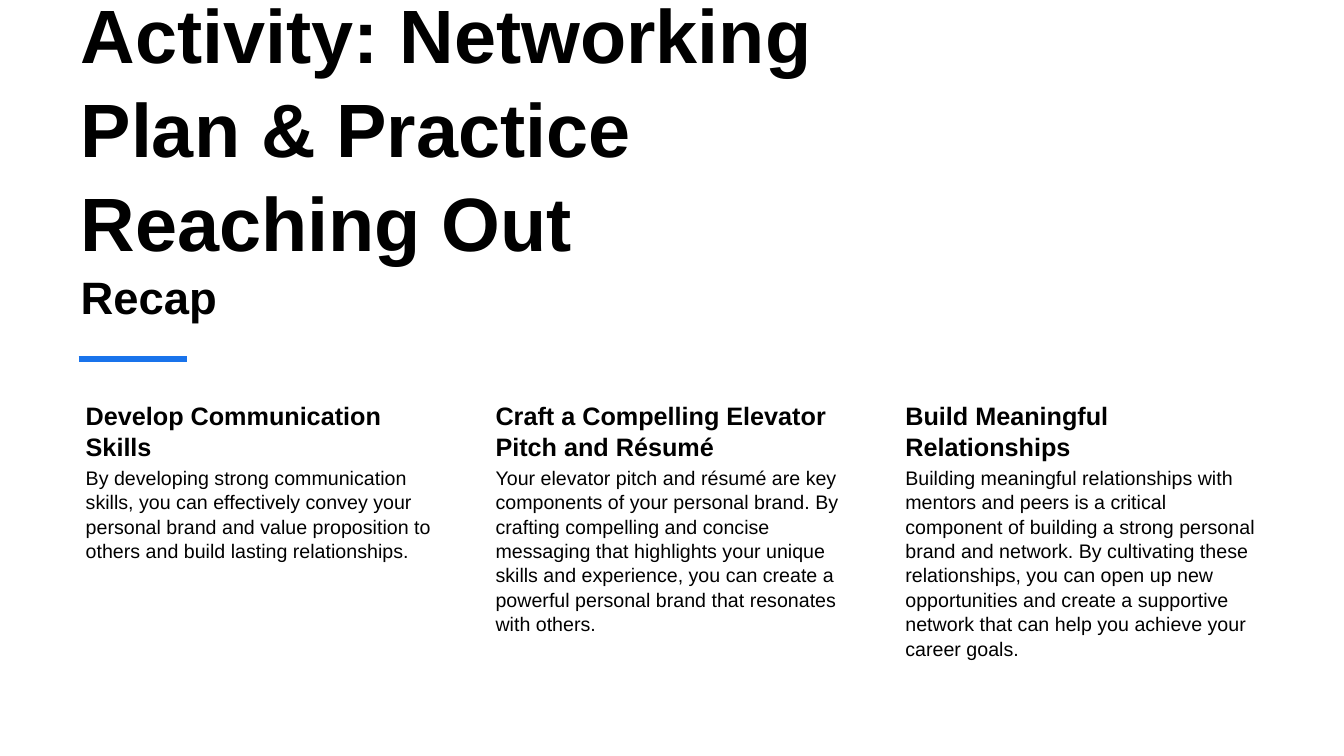
from dataclasses import dataclass

from lxml import etree
from pptx import Presentation
from pptx.dml.color import RGBColor
from pptx.enum.shapes import MSO_CONNECTOR, MSO_SHAPE
from pptx.enum.text import MSO_ANCHOR, MSO_AUTO_SIZE, PP_ALIGN
from pptx.oxml.ns import qn
from pptx.util import Inches, Pt

RECTANGLE = MSO_SHAPE.RECTANGLE
STRAIGHT = MSO_CONNECTOR.STRAIGHT
TOP, BOTTOM = MSO_ANCHOR.TOP, MSO_ANCHOR.BOTTOM
LEFT = PP_ALIGN.LEFT
NO_AUTOFIT = MSO_AUTO_SIZE.NONE

SLIDE_WIDTH, SLIDE_HEIGHT = 13.33, 7.5
TITLE_ONLY_LAYOUT = 5
COLUMN_LEFT, COLUMN_STEP, COLUMN_WIDTH = 0.7, 4.065, 3.69
HEADING_TOP, HEADING_HEIGHT = 3.93, 0.66
BODY_HEIGHT = 2.07

RECAP_POINTS = [
    ("Develop Communication Skills",
     "By developing strong communication skills, you can effectively convey "
     "your personal brand and value proposition to others and build lasting "
     "relationships."),
    ("Craft a Compelling Elevator Pitch and Résumé",
     "Your elevator pitch and résumé are key components of your personal "
     "brand. By crafting compelling and concise messaging that highlights "
     "your unique skills and experience, you can create a powerful personal "
     "brand that resonates with others."),
    ("Build Meaningful Relationships",
     "Building meaningful relationships with mentors and peers is a critical "
     "component of building a strong personal brand and network. By "
     "cultivating these relationships, you can open up new opportunities and "
     "create a supportive network that can help you achieve your career "
     "goals."),
]


@dataclass(frozen=True)
class Theme:
    font: str = "Arial"
    text: RGBColor = RGBColor(0x00, 0x00, 0x00)
    background: RGBColor = RGBColor(0xFF, 0xFF, 0xFF)
    accent: RGBColor = RGBColor(0x19, 0x73, 0xEB)
    title_size: float = 54
    subtitle_size: float = 32.4
    heading_size: float = 18
    body_size: float = 14
    rule_width: float = 4.5
    line_spacing: float = 1.04


class SlideBuilder:
    def __init__(self, slide, theme):
        self.slide = slide
        self.theme = theme

    def format_run(self, run, size, bold):
        run.font.name = self.theme.font
        run.font.size = Pt(size)
        run.font.bold = bold
        run.font.color.rgb = self.theme.text

    def format_paragraph(self, paragraph, sizes, bold):
        """Format each run with the matching entry of sizes."""
        paragraph.alignment = LEFT
        paragraph.line_spacing = self.theme.line_spacing
        for run, size in zip(paragraph.runs, sizes):
            self.format_run(run, size, bold)

    def backdrop(self):
        """Put a full-slide panel behind everything else."""
        shapes = self.slide.shapes
        panel = shapes.add_shape(RECTANGLE, 0, 0, Inches(SLIDE_WIDTH),
                                 Inches(SLIDE_HEIGHT))
        panel.shadow.inherit = False
        panel.fill.solid()
        panel.fill.fore_color.rgb = self.theme.background
        panel.line.fill.background()
        shapes.element.insert(2, panel.element)

    def title(self, headline, subtitle, left, top, width, height):
        title = self.slide.shapes.title
        title.left, title.top = Inches(left), Inches(top)
        title.width, title.height = Inches(width), Inches(height)
        frame = title.text_frame
        frame.word_wrap = True
        frame.auto_size = NO_AUTOFIT
        frame.vertical_anchor = BOTTOM
        frame.text = f"{headline}\v{subtitle}"
        sizes = (self.theme.title_size, self.theme.subtitle_size)
        self.format_paragraph(frame.paragraphs[0], sizes, True)

    def rule(self, left, top, width):
        line = self.slide.shapes.add_connector(
            STRAIGHT, Inches(left), Inches(top),
            Inches(left + width), Inches(top))
        line.line.color.rgb = self.theme.accent
        line.line.width = Pt(self.theme.rule_width)
        etree.SubElement(line.element.spPr, qn("a:effectLst"))

    def text_box(self, group, text, left, top, height, size, bold, inset):
        box = group.shapes.add_textbox(Inches(left), Inches(top),
                                       Inches(COLUMN_WIDTH), Inches(height))
        frame = box.text_frame
        frame.word_wrap = True
        frame.vertical_anchor = TOP
        frame.margin_left = Inches(0.15)
        frame.margin_top = frame.margin_right = Inches(inset)
        frame.margin_bottom = Inches(inset)
        frame.text = text
        self.format_paragraph(frame.paragraphs[0], (size,), bold)

    def column(self, heading, body, left):
        group = self.slide.shapes.add_group_shape()
        self.text_box(group, heading, left, HEADING_TOP, HEADING_HEIGHT,
                      self.theme.heading_size, True, 0.03)
        self.text_box(group, body, left, HEADING_TOP + HEADING_HEIGHT,
                      BODY_HEIGHT, self.theme.body_size, False, 0.02)


def main():
    presentation = Presentation()
    presentation.slide_width = Inches(SLIDE_WIDTH)
    presentation.slide_height = Inches(SLIDE_HEIGHT)
    layout = presentation.slide_layouts[TITLE_ONLY_LAYOUT]
    builder = SlideBuilder(presentation.slides.add_slide(layout), Theme())

    builder.backdrop()
    builder.title("Activity: Networking Plan & Practice Reaching Out", "Recap",
                  0.7, 1.72, 8.93, 1.54)
    builder.rule(0.78, 3.56, 1.07)
    for index, (heading, body) in enumerate(RECAP_POINTS):
        builder.column(heading, body, COLUMN_LEFT + index * COLUMN_STEP)

    presentation.save("out.pptx")


if __name__ == "__main__":
    main()
